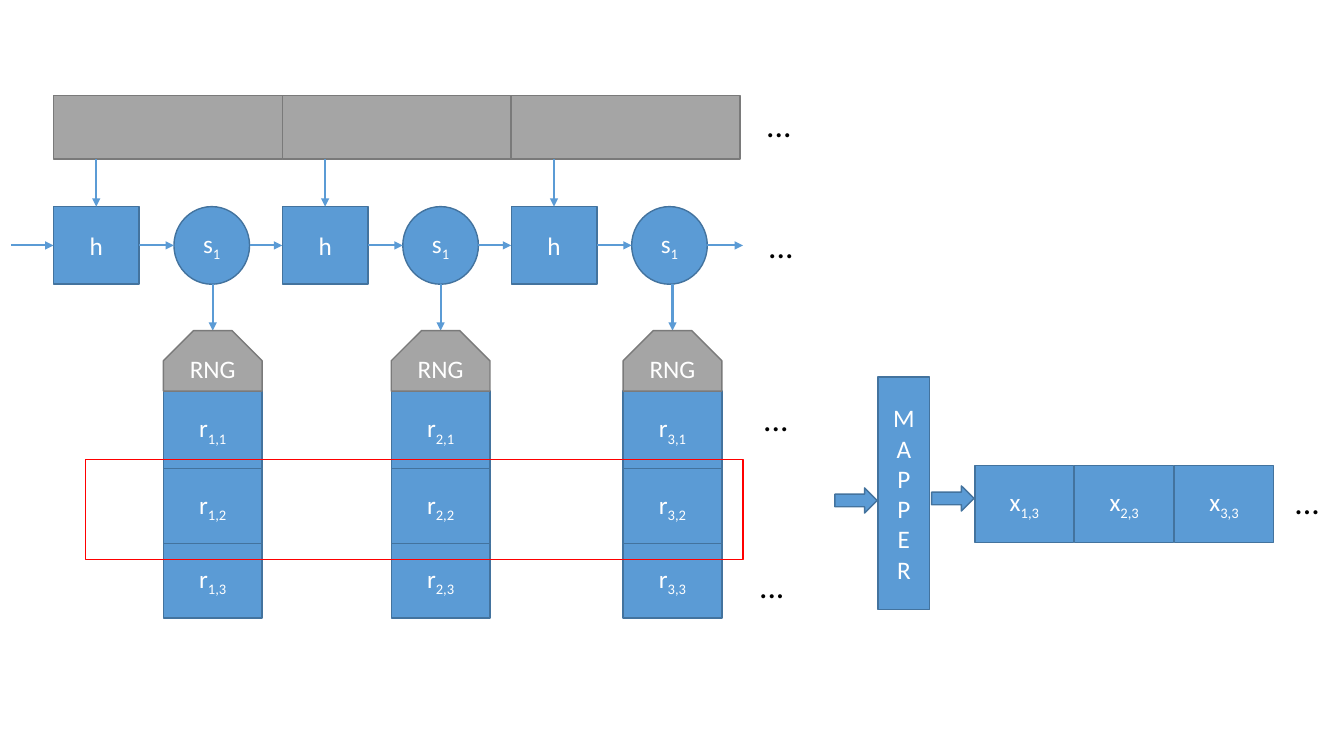
import pptx
import pptx.util
import pptx.dml.color
import pptx.enum.shapes
import pptx.enum.text
import pptx.oxml.ns
import lxml.etree

Inches = pptx.util.Inches
Pt = pptx.util.Pt
RGBColor = pptx.dml.color.RGBColor
SHAPE = pptx.enum.shapes.MSO_SHAPE
ALIGN = pptx.enum.text.PP_ALIGN
qn = pptx.oxml.ns.qn

BLUE = RGBColor(0x5B, 0x9B, 0xD5)
BLUE_EDGE = RGBColor(0x43, 0x73, 0x9E)
GRAY = RGBColor(0xA5, 0xA5, 0xA5)
GRAY_EDGE = RGBColor(0x7A, 0x7A, 0x7A)
RED = RGBColor(0xFF, 0x00, 0x00)
WHITE = RGBColor(0xFF, 0xFF, 0xFF)
BLACK = RGBColor(0x00, 0x00, 0x00)

SLIDE_W, SLIDE_H = 13.33, 7.5

# Columns: one stage per block of the chain
STAGE_LEFT, STAGE_W, STAGES = 0.53, 2.27, 3
HASH_W, STATE_W, CELL_W = 0.85, 0.75, 0.98
STATE_OFFSET = 1.195
STACK_LEFTS = [1.62, 3.88, 6.18]

# Rows
BLOCK_TOP, BLOCK_H = 0.95, 0.63
CHAIN_TOP, CHAIN_H = 2.05, 0.77
CHAIN_MID = CHAIN_TOP + CHAIN_H / 2
RNG_TOP, RNG_H = 3.28, 0.6
CELL_ROWS = [(3.88, 0.77), (4.65, 0.74), (5.39, 0.74)]

OUTPUT_LEFT, OUTPUT_TOP, OUTPUT_PITCH = 9.67, 4.62, 0.99

prs = pptx.Presentation()
prs.slide_width, prs.slide_height = Inches(SLIDE_W), Inches(SLIDE_H)
slide = prs.slides.add_slide(prs.slide_layouts[6])


def add_box(kind, left, top, width, height, label="", subscript="", fill=BLUE, edge=BLUE_EDGE):
    """Add an outlined shape; each line of the label is a paragraph."""
    box = slide.shapes.add_shape(kind, Inches(left), Inches(top), Inches(width), Inches(height))
    box.shadow.inherit = False
    if fill is None:
        box.fill.background()
    else:
        box.fill.solid()
        box.fill.fore_color.rgb = fill
    box.line.color.rgb = edge
    box.line.width = Pt(1)
    if label:
        box.text_frame.text = label
        if subscript:
            index = box.text_frame.paragraphs[0].add_run()
            index.text = subscript
            index.font._element.set("baseline", "-25000")
        for paragraph in box.text_frame.paragraphs:
            paragraph.alignment = ALIGN.CENTER
            paragraph.font.name = "Calibri"
            paragraph.font.size = Pt(18)
            paragraph.font.color.rgb = WHITE
    return box


def add_arrow(x1, y1, x2, y2):
    arrow = slide.shapes.add_connector(
        pptx.enum.shapes.MSO_CONNECTOR.STRAIGHT, Inches(x1), Inches(y1), Inches(x2), Inches(y2))
    arrow.line.color.rgb = BLUE
    arrow.line.width = Pt(1.5)
    lxml.etree.SubElement(arrow.line._get_or_add_ln(), qn("a:tailEnd"), type="triangle")
    lxml.etree.SubElement(arrow._element.spPr, qn("a:effectLst"))
    return arrow


# Hash chain, fed by the gray blocks and feeding the generators
for stage, stack_left in enumerate(STACK_LEFTS):
    left = STAGE_LEFT + stage * STAGE_W
    hash_right = left + HASH_W
    hash_mid = left + HASH_W / 2
    state_left = left + STATE_OFFSET
    state_right = state_left + STATE_W
    stack_mid = stack_left + CELL_W / 2

    add_box(SHAPE.RECTANGLE, left, BLOCK_TOP, STAGE_W, BLOCK_H, fill=GRAY, edge=GRAY_EDGE)
    hash_box = add_box(SHAPE.RECTANGLE, left, CHAIN_TOP, HASH_W, CHAIN_H, "h")
    add_box(SHAPE.OVAL, state_left, CHAIN_TOP, STATE_W, CHAIN_H, "s", "1")

    block_to_hash = add_arrow(hash_mid, BLOCK_TOP + BLOCK_H, hash_mid, CHAIN_TOP)
    block_to_hash.end_connect(hash_box, 0)
    hash_to_state = add_arrow(hash_right, CHAIN_MID, state_left, CHAIN_MID)
    hash_to_state.begin_connect(hash_box, 3)
    if stage == 0:
        into_hash = add_arrow(0.11, CHAIN_MID, left, CHAIN_MID)
    else:
        into_hash = add_arrow(left + STATE_OFFSET + STATE_W - STAGE_W, CHAIN_MID, left, CHAIN_MID)
    into_hash.end_connect(hash_box, 1)
    if stage == STAGES - 1:
        add_arrow(state_right, CHAIN_MID, left + STAGE_W + 0.03, CHAIN_MID)
    add_arrow(stack_mid, CHAIN_TOP + CHAIN_H, stack_mid, RNG_TOP)

    for row, (top, height) in enumerate(CELL_ROWS, 1):
        add_box(SHAPE.RECTANGLE, stack_left, top, CELL_W, height, "r", f"{stage + 1},{row}")
    rng = add_box(SHAPE.SNIP_2_SAME_RECTANGLE, stack_left, RNG_TOP, CELL_W, RNG_H, "RNG",
                  fill=GRAY, edge=GRAY_EDGE)
    rng.adjustments[0] = 0.5
    rng.adjustments[1] = 0

# Selected row of random values
add_box(SHAPE.RECTANGLE, 0.85, 4.56, 6.52, 0.99, fill=None, edge=RED)

# Mapper and its output
add_box(SHAPE.RECTANGLE, 8.71, 3.74, 0.51, 2.31, "\n".join("MAPPER"))
for left, top in [(8.28, 4.84), (9.24, 4.82)]:
    add_box(SHAPE.RIGHT_ARROW, left, top, 0.42, 0.25)
for column in range(STAGES):
    add_box(SHAPE.RECTANGLE, OUTPUT_LEFT + column * OUTPUT_PITCH, OUTPUT_TOP, CELL_W, 0.76,
            "x", f"{column + 1},3")

# Each sequence goes on
for left, top in [(7.5, 0.98), (7.52, 2.18), (7.47, 3.9), (7.43, 5.56), (12.74, 4.72)]:
    width = min(1.18, SLIDE_W - left)
    dots = slide.shapes.add_textbox(Inches(left), Inches(top), Inches(width), Inches(0.5))
    dots.text_frame.word_wrap = True
    dots.text_frame.text = "..."
    font = dots.text_frame.paragraphs[0].font
    font.name = "Calibri"
    font.size = Pt(24)
    font.color.rgb = BLACK

prs.save("out.pptx")
